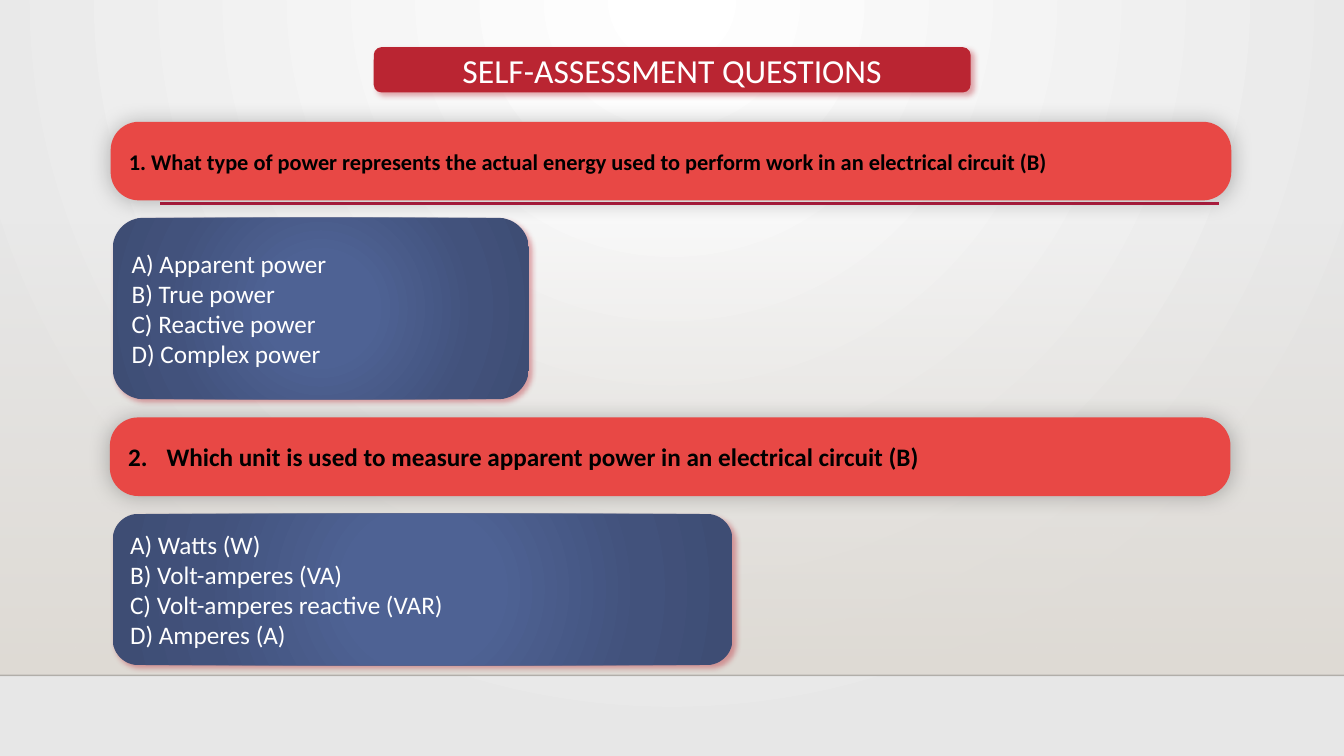
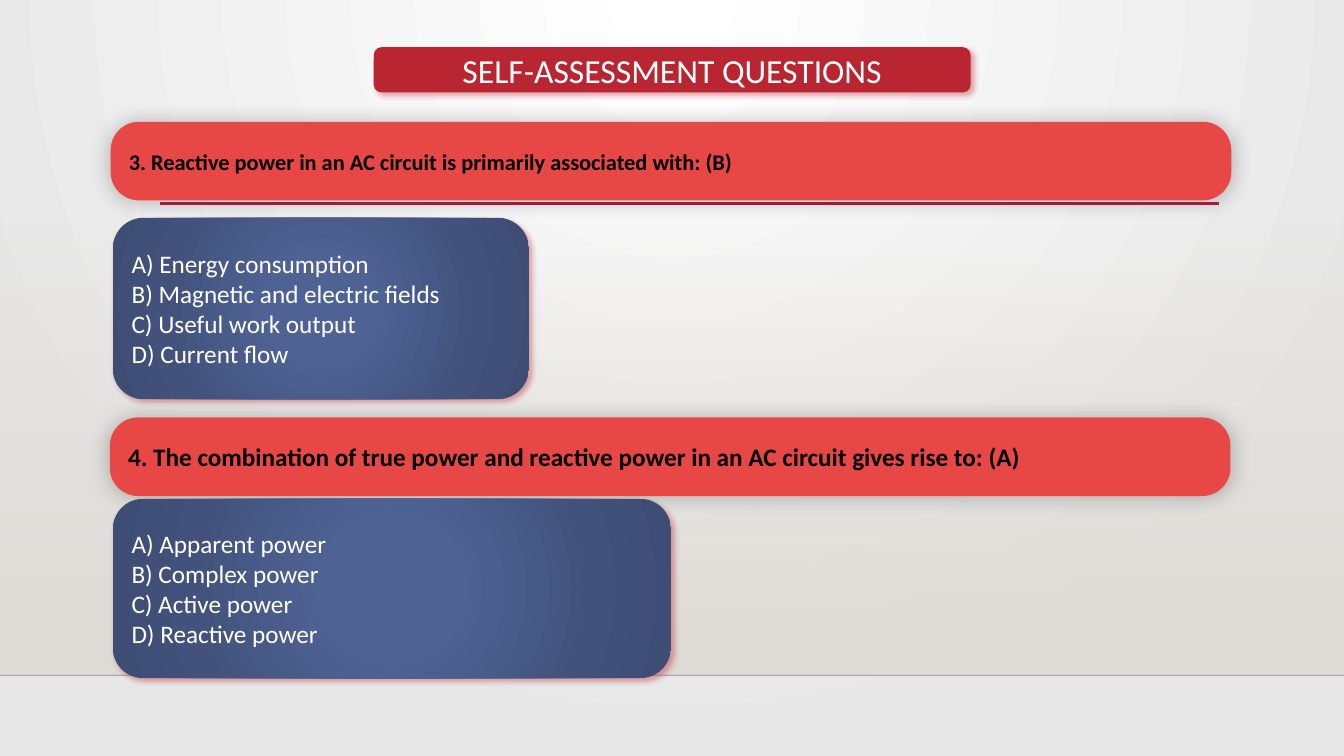
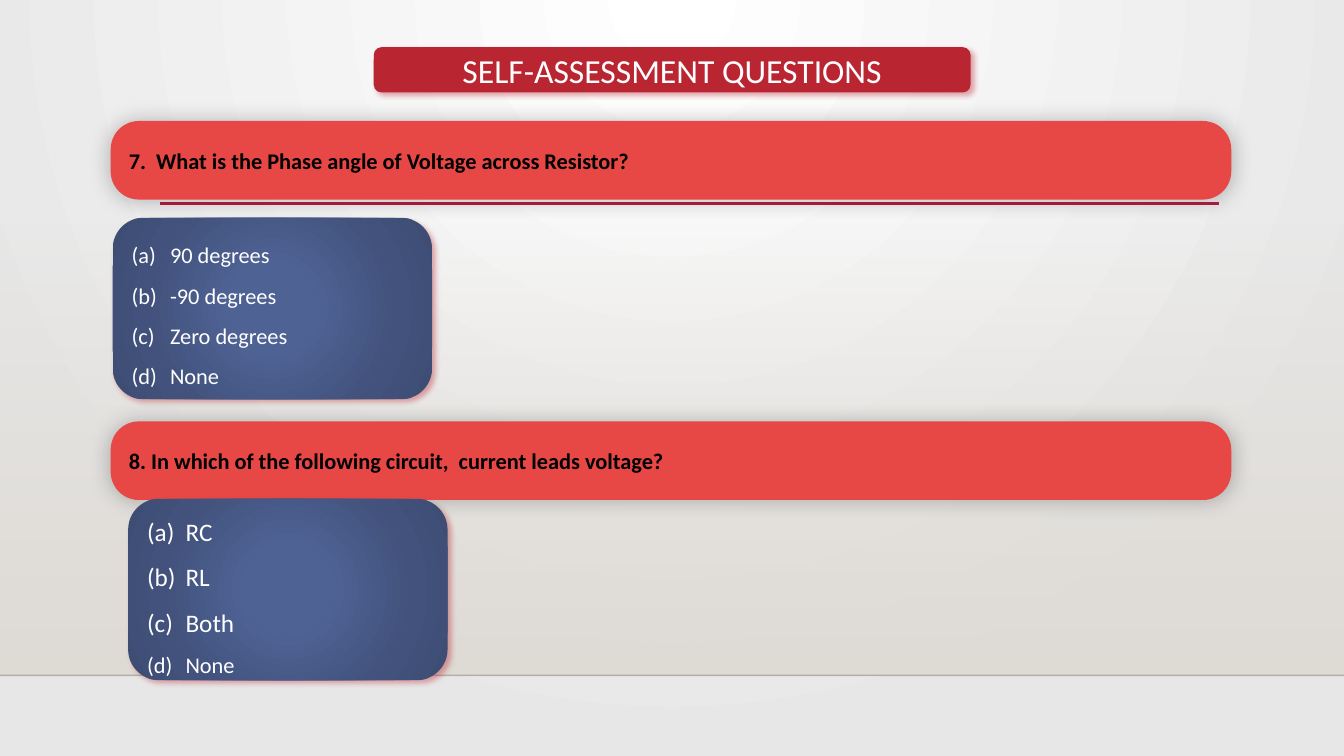
from pptx import Presentation
from pptx.dml.color import RGBColor
from pptx.enum import shapes, text
from pptx.oxml import parse_xml
from pptx.oxml.ns import nsdecls, qn
from pptx.util import Cm, Pt

WIDTH, HEIGHT = 33.87, 19.05
FLOOR_TOP = 17.02
FONT = "Calibri"
TITLE = "SELF-ASSESSMENT QUESTIONS"
TITLE_PLACE = (9.42, 1.19, 15.04, 1.14)
QUESTION_SIZE = (28.24, 1.98)
INDENT = 0.97

RED_SHADOW = ("BA2532", 40, 4, 3, 45)
BLACK_SHADOW = ("000000", 25, 15, 0, 0)
# fill (None for the blue gradient), shadow, font colour, bold, corner, alignment
STYLES = {
    "title": ("BA2532", RED_SHADOW, "FFFFFF", False, 0.17, text.PP_ALIGN.CENTER),
    "question": ("E84845", BLACK_SHADOW, "000000", True, 0.36, text.PP_ALIGN.LEFT),
    "answers": (None, RED_SHADOW, "FFFFFF", False, 0.17, text.PP_ALIGN.LEFT),
}
BLUE_STOPS = [(0, "4E6294", 100), (23, "4E6294", 100), (69, "42527C", 100), (97, "3E4D74", 100)]
FROM_CENTRE = '<a:path path="circle"><a:fillToRect l="50000" t="50000" r="50000" b="50000"/></a:path>'
FROM_TOP = '<a:path path="circle"><a:fillToRect l="43000" t="0" r="43000" b="100000"/></a:path>'
DOWNWARD = '<a:lin ang="5400000" scaled="0"/>'
NUMBERED = '<a:buAutoNum {} type="arabicPeriod" startAt="2"/>'
LETTERED = '<a:buAutoNum {} type="alphaLcParenBoth"/>'

# Each box: style, place, font size, numbering, line spacing, lines
SLIDES = [
    [
        ("question", (2.79, 3.07, *QUESTION_SIZE), 16, None, 1,
         ["1. What type of power represents the actual energy used to perform work in an electrical circuit (B)"]),
        ("answers", (2.84, 5.49, 10.49, 4.57), 18, None, 1,
         ["A) Apparent power", "B) True power", "C) Reactive power", "D) Complex power"]),
        ("question", (2.77, 10.52, *QUESTION_SIZE), 18, NUMBERED, 1,
         ["Which unit is used to measure apparent power in an electrical circuit (B)"]),
        ("answers", (2.84, 12.95, 15.62, 3.81), 18, None, 1,
         ["A) Watts (W)", "B) Volt-amperes (VA)", "C) Volt-amperes reactive (VAR)", "D) Amperes (A)"]),
    ],
    [
        ("question", (2.79, 3.07, *QUESTION_SIZE), 16, None, 1,
         ["3. Reactive power in an AC circuit is primarily associated with: (B)"]),
        ("answers", (2.84, 5.49, 10.49, 4.57), 18, None, 1,
         ["A) Energy consumption", "B) Magnetic and electric fields", "C) Useful work output", "D) Current flow"]),
        ("question", (2.77, 10.52, *QUESTION_SIZE), 18, None, 1,
         ["4. The combination of true power and reactive power in an AC circuit gives rise to: (A)"]),
        ("answers", (2.84, 12.57, 14.07, 4.52), 18, None, 1,
         ["A) Apparent power", "B) Complex power", "C) Active power", "D) Reactive power"]),
    ],
    [
        ("question", (2.79, 3.05, *QUESTION_SIZE), 16, None, 1,
         ["7.  What is the Phase angle of Voltage across Resistor?"]),
        ("answers", (2.84, 5.49, 8.05, 4.57), 16, LETTERED, 1.5,
         ["90 degrees", "-90 degrees", "Zero degrees", "None"]),
        ("question", (2.79, 10.62, *QUESTION_SIZE), 16, None, 1,
         ["8. In which of the following circuit,  current leads voltage?"]),
        ("answers", (3.23, 12.57, 8.05, 4.57), 18, LETTERED, 1.5,
         ["RC", "RL", "Both", "None"]),
    ],
]


def color(value):
    return RGBColor.from_string(value)


def set_gradient(element, stops, direction):
    """Replace the first gradient in element; stops are (position, colour, opacity) in percent."""
    stop_xml = "".join(
        f'<a:gs pos="{position * 1000}"><a:srgbClr val="{value}">'
        f'<a:alpha val="{opacity * 1000}"/></a:srgbClr></a:gs>'
        for position, value, opacity in stops)
    gradient = next(element.iter(qn("a:gradFill")))
    gradient.getparent().replace(gradient, parse_xml(
        f'<a:gradFill {nsdecls("a")} rotWithShape="1"><a:gsLst>{stop_xml}</a:gsLst>{direction}</a:gradFill>'))


presentation = Presentation()
presentation.slide_width, presentation.slide_height = Cm(WIDTH), Cm(HEIGHT)
master = presentation.slide_master
master.background.fill.gradient()
set_gradient(master.element, [(0, "FFFFFF", 100), (100, "E7E7E7", 100)], FROM_TOP)

for boxes in SLIDES:
    slide = presentation.slides.add_slide(presentation.slide_layouts[6])

    wall = slide.shapes.add_shape(
        shapes.MSO_SHAPE.RECTANGLE, 0, Cm(5.61), Cm(WIDTH), Cm(FLOOR_TOP - 5.61))
    wall.shadow.inherit = False
    wall.line.fill.background()
    wall.fill.gradient()
    set_gradient(wall.element, [(0, "DFDBD5", 0), (100, "DFDBD5", 100)], DOWNWARD)

    for left, right, top, value, weight, opacity in [
            (0, WIDTH, FLOOR_TOP, "000001", 1, 20), (4.04, 30.73, 5.13, "B71E42", 2.5, 100)]:
        rule = slide.shapes.add_connector(
            shapes.MSO_CONNECTOR.STRAIGHT, Cm(left), Cm(top), Cm(right), Cm(top))
        rule.line.color.rgb = color(value)
        rule.line.width = Pt(weight)
        next(rule.element.iter(qn("a:srgbClr"))).append(
            parse_xml(f'<a:alpha {nsdecls("a")} val="{opacity * 1000}"/>'))
        rule.element.spPr.append(parse_xml(f'<a:effectLst {nsdecls("a")}/>'))

    for style, place, size, numbering, spacing, lines in [
            ("title", TITLE_PLACE, 24, None, 1, [TITLE]), *boxes]:
        fill, shadow, font_color, bold, corner, alignment = STYLES[style]
        box = slide.shapes.add_shape(
            shapes.MSO_SHAPE.ROUNDED_RECTANGLE, *[Cm(length) for length in place])
        box.adjustments[0] = corner
        box.line.fill.background()
        if fill:
            box.fill.solid()
            box.fill.fore_color.rgb = color(fill)
        else:
            box.fill.gradient()
            set_gradient(box.element, BLUE_STOPS, FROM_CENTRE)

        box.shadow.inherit = False
        shade, opacity, blur, distance, angle = shadow
        box.element.spPr.find(qn("a:effectLst")).append(parse_xml(
            f'<a:outerShdw {nsdecls("a")} blurRad="{Pt(blur)}" dist="{Pt(distance)}" '
            f'dir="{angle * 60000}" algn="ctr" rotWithShape="0"><a:srgbClr val="{shade}">'
            f'<a:alpha val="{opacity * 1000}"/></a:srgbClr></a:outerShdw>'))

        frame = box.text_frame
        frame.word_wrap = True
        frame.vertical_anchor = text.MSO_ANCHOR.MIDDLE
        frame.text = "\n".join(lines)
        for paragraph in frame.paragraphs:
            paragraph.alignment = alignment
            paragraph.line_spacing = float(spacing)
            if numbering:
                properties = paragraph._p.get_or_add_pPr()
                properties.set("marL", str(Cm(INDENT)))
                properties.set("indent", str(-Cm(INDENT)))
                properties.append(parse_xml(numbering.format(nsdecls("a"))))
            font = paragraph.runs[0].font
            font.name, font.size, font.bold = FONT, Pt(size), bold
            font.color.rgb = color(font_color)

# The very last answer is set smaller than the ones above it
font.size = Pt(16)

presentation.save("out.pptx")
